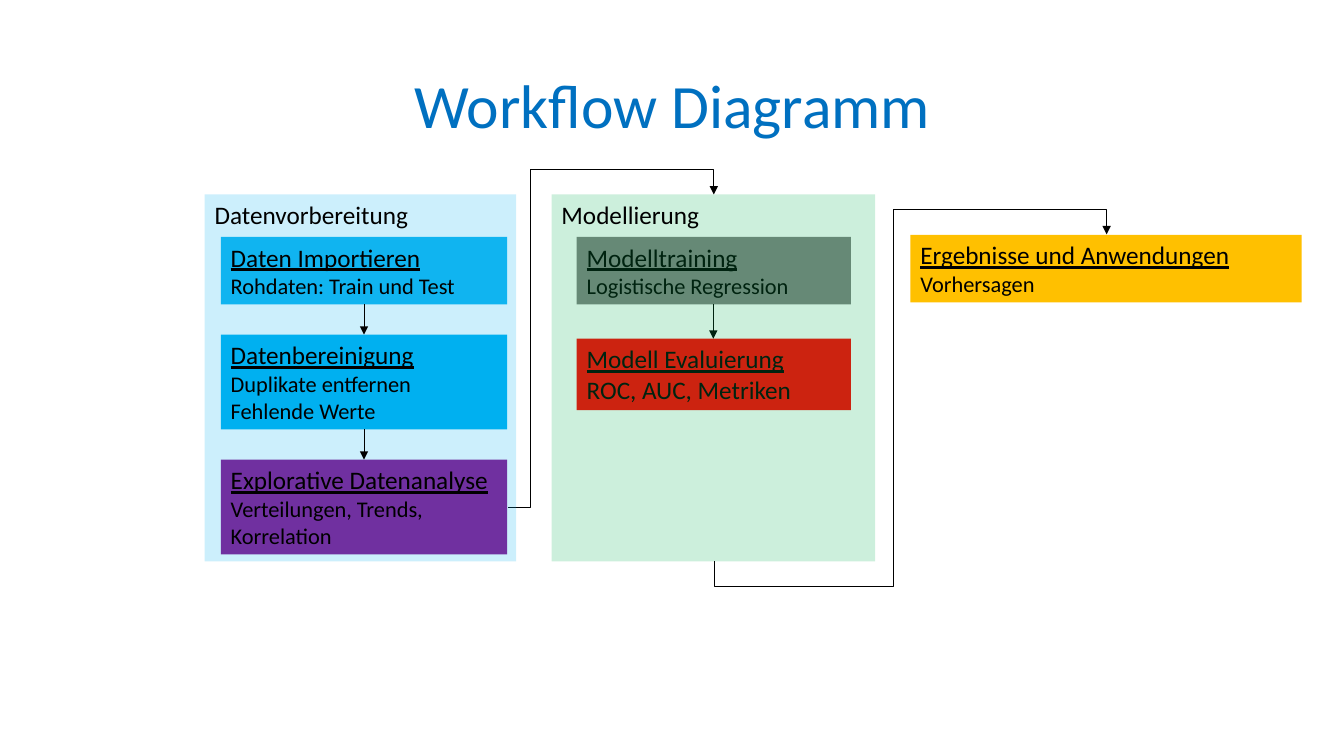
from lxml.etree import SubElement
from pptx import Presentation
from pptx.dml.color import RGBColor
from pptx.enum.shapes import MSO_CONNECTOR, MSO_SHAPE
from pptx.enum.text import MSO_ANCHOR, PP_ALIGN
from pptx.oxml.ns import qn
from pptx.util import Inches, Pt

BLACK = RGBColor(0x00, 0x00, 0x00)
TITLE_BLUE = RGBColor(0x00, 0x70, 0xC0)
BLUE = RGBColor(0x00, 0xB0, 0xF0)
PURPLE = RGBColor(0x70, 0x30, 0xA0)
GRAY = RGBColor(0x80, 0x80, 0x80)
RED = RGBColor(0xFF, 0x00, 0x00)
GREEN = RGBColor(0x00, 0xB0, 0x50)
AMBER = RGBColor(0xFF, 0xC0, 0x00)
PANEL_HEIGHT = 3.64


def write_text(para, text, size=18, color=BLACK, underline=False, align=PP_ALIGN.LEFT):
    """Add one formatted span to a paragraph."""
    para.alignment = align
    span = para.add_run()
    span.text = text
    span.font.name = "Calibri"
    span.font.size = Pt(size)
    span.font.color.rgb = color
    span.font.underline = underline


def add_box(page, left, top, width, height, fill, opacity=100):
    """Add a borderless rectangle with top-anchored text and return it."""
    box = page.shapes.add_shape(
        MSO_SHAPE.RECTANGLE, Inches(left), Inches(top), Inches(width), Inches(height))
    box.shadow.inherit = False
    box.line.fill.background()
    box.fill.solid()
    box.fill.fore_color.rgb = fill
    if opacity < 100:
        color = box.element.spPr.find(qn("a:solidFill"))[0]
        SubElement(color, qn("a:alpha")).set("val", str(opacity * 1000))
    box.text_frame.word_wrap = True
    box.text_frame.vertical_anchor = MSO_ANCHOR.TOP
    return box


def add_panel(page, left, top, width, heading, fill):
    """Add a translucent phase panel with its heading."""
    panel = add_box(page, left, top, width, PANEL_HEIGHT, fill, opacity=20)
    write_text(panel.text_frame.paragraphs[0], heading)


def add_task(page, left, top, width, height, fill, heading, details, opacity=100, size=16):
    """Add a task box with an underlined heading and detail lines."""
    frame = add_box(page, left, top, width, height, fill, opacity).text_frame
    write_text(frame.paragraphs[0], heading, underline=True)
    for detail in details:
        write_text(frame.add_paragraph(), detail, size=size)


def add_arrow(page, start, end, preset=None, adjustments=(), rotation=0):
    """Add a thin arrow, bent when a preset is given."""
    kind = MSO_CONNECTOR.ELBOW if preset else MSO_CONNECTOR.STRAIGHT
    arrow = page.shapes.add_connector(kind, *map(Inches, (*start, *end)))
    arrow.line.color.rgb = BLACK
    arrow.line.width = Pt(0.5)
    properties = arrow.element.spPr
    SubElement(properties.find(qn("a:ln")), qn("a:tailEnd")).set("type", "triangle")
    SubElement(properties, qn("a:effectLst"))
    if preset:
        geometry = properties.find(qn("a:prstGeom"))
        geometry.set("prst", preset)
        guides = geometry.find(qn("a:avLst"))
        for number, value in enumerate(adjustments, 1):
            guide = SubElement(guides, qn("a:gd"))
            guide.set("name", f"adj{number}")
            guide.set("fmla", f"val {round(value * 100000)}")
    if rotation:
        properties.find(qn("a:xfrm")).set("rot", str(rotation * 60000))


def draw_title(page, left, top, width, height):
    """Place and format the slide title."""
    title = page.shapes.title
    title.left, title.top = Inches(left), Inches(top)
    title.width, title.height = Inches(width), Inches(height)
    title.text_frame.vertical_anchor = MSO_ANCHOR.BOTTOM
    para = title.text_frame.paragraphs[0]
    para.line_spacing = 0.9
    write_text(para, "Workflow Diagramm", size=44, color=TITLE_BLUE, align=PP_ALIGN.CENTER)


def draw_preparation(page, left, top, width):
    """Draw the data preparation phase."""
    add_panel(page, left, top, width, "Datenvorbereitung", BLUE)
    tasks = [
        (0.67, BLUE, 92, "Daten Importieren", ["Rohdaten: Train und Test"]),
        (0.94, BLUE, 100, "Datenbereinigung", ["Duplikate entfernen", "Fehlende Werte"]),
        (0.94, PURPLE, 100, "Explorative Datenanalyse", ["Verteilungen, Trends, Korrelation"]),
    ]
    gap, task_width = 0.3, 2.84
    task_left, task_top = left + 0.16, top + 0.42
    middle = task_left + task_width / 2
    for index, (height, fill, opacity, heading, details) in enumerate(tasks):
        if index:
            add_arrow(page, (middle, task_top - gap), (middle, task_top))
        add_task(page, task_left, task_top, task_width, height, fill, heading, details, opacity)
        task_top += height + gap


def draw_modelling(page, left, top, width):
    """Draw the modelling phase, its tint lying over the tasks."""
    task_left, task_width, middle = left + 0.25, 2.72, left + width / 2
    add_task(page, task_left, top + 0.42, task_width, 0.67, GRAY,
             "Modelltraining", ["Logistische Regression"])
    add_task(page, task_left, top + 1.43, task_width, 0.71, RED,
             "Modell Evaluierung", ["ROC, AUC, Metriken"], size=18)
    add_arrow(page, (middle, top + 1.09), (middle, top + 1.43))
    add_panel(page, left, top, width, "Modellierung", GREEN)


def draw_results(page, left, top, width):
    """Draw the results box."""
    add_task(page, left, top, width, 0.67, AMBER,
             "Ergebnisse und Anwendungen", ["Vorhersagen"])


def main():
    """Build and save the workflow slide."""
    deck = Presentation()
    deck.slide_width, deck.slide_height = Inches(13.33), Inches(7.5)
    page = deck.slides.add_slide(deck.slide_layouts[5])
    draw_title(page, 0.92, 0.01, 11.5, 1.45)
    add_arrow(page, (5.04, 5.03), (7.08, 1.93), "bentConnector4", (0.106, 1.081))
    draw_preparation(page, 2.03, 1.93, 3.09)
    draw_modelling(page, 5.47, 1.93, 3.21)
    draw_results(page, 9.03, 2.33, 3.88)
    add_arrow(page, (10.65, 5.89), (7.41, 2), "bentConnector5", (-0.077, 0.457, 1.077), rotation=90)
    deck.save("out.pptx")


if __name__ == "__main__":
    main()
